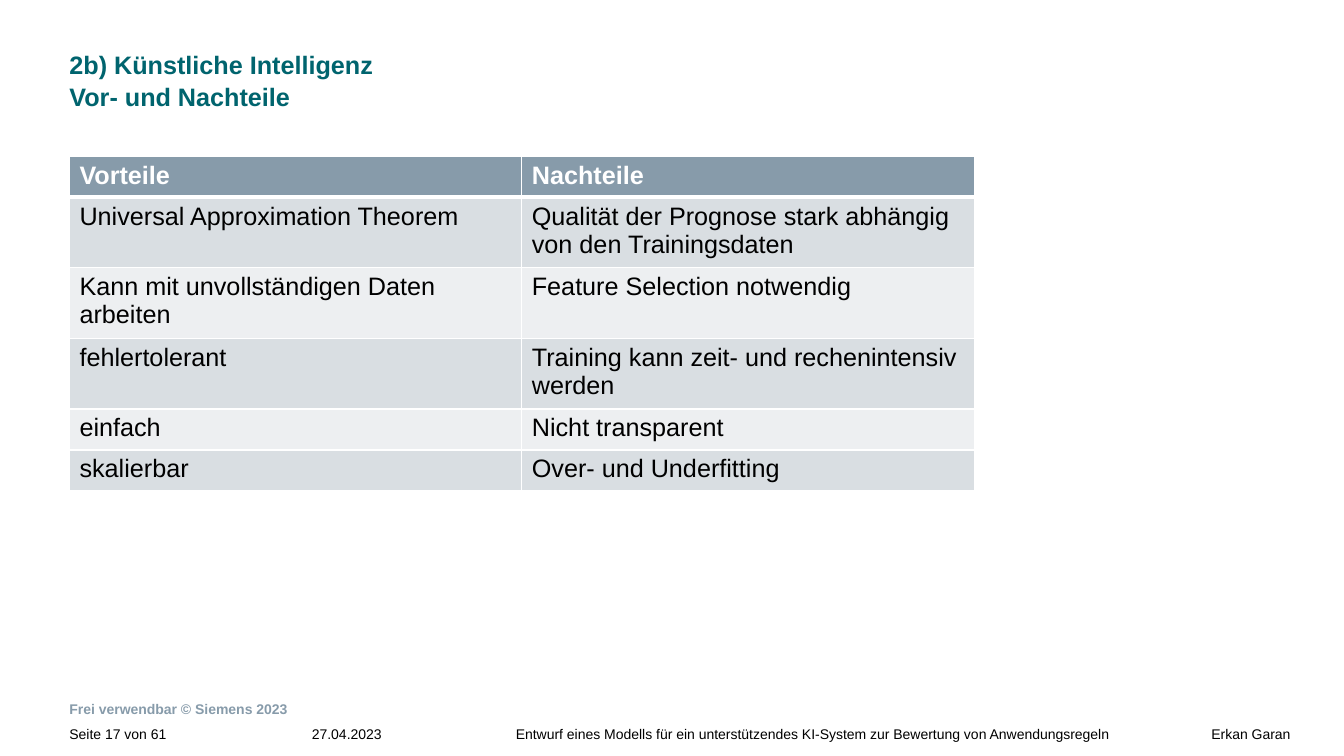
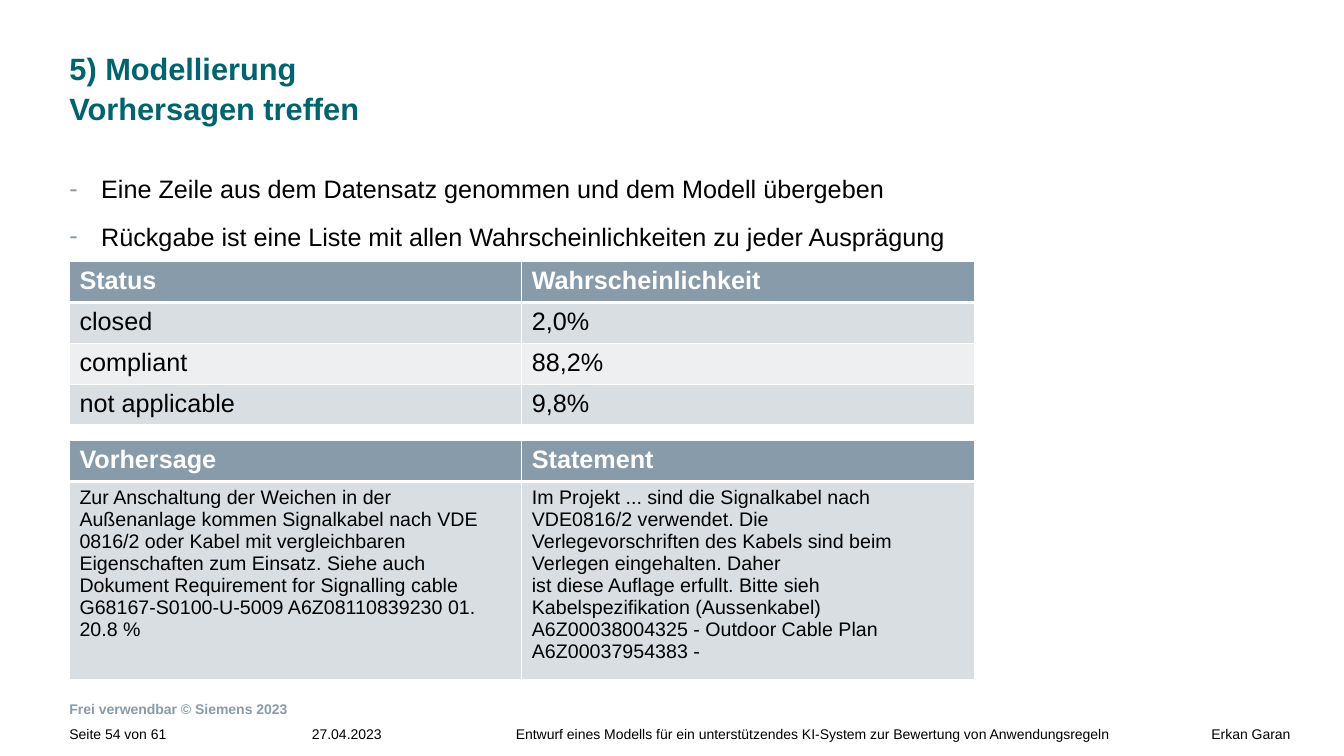
from pptx import Presentation
from pptx import util as u
from pptx.dml.color import RGBColor
from pptx.enum import text
from pptx.oxml.ns import qn
from lxml import etree

FONT = "Arial"
TEAL, SLATE, BLACK, WHITE = "00646E", "879BAA", "000000", "FFFFFF"
BANDS = ("D9DEE2", "EDEFF1")
WIDTH, HEIGHT = 33.87, 19.05
LEFT, CONTENT_W = 1.75, 22.8
CONTENT_TOP = 3.94
ROW_H, TWO_LINE_H = 1.03, 1.69


def rgb(value):
    return RGBColor.from_string(value)


def sub(parent, tag, **attrs):
    return etree.SubElement(parent, qn(tag), attrs)


def set_insets(tf, left=0, top=0, right=0, bottom=0):
    tf.margin_left, tf.margin_top = u.Cm(left), u.Cm(top)
    tf.margin_right, tf.margin_bottom = u.Cm(right), u.Cm(bottom)


def write(tf, content, size=18, color=BLACK, bold=False, align="LEFT",
          spacing=1.0, bullet=None, tab=None):
    """Fill a text frame, one paragraph per line of content."""
    for i, line in enumerate(content.split("\n")):
        p = tf.paragraphs[0] if i == 0 else tf.add_paragraph()
        p.alignment = text.PP_ALIGN[align]
        p.line_spacing = spacing
        p.space_before = u.Pt(0)
        pPr = p._p.get_or_add_pPr()
        if bullet:
            pPr.set("marL", str(u.Cm(0.8)))
            pPr.set("indent", str(-u.Cm(0.8)))
            sub(sub(pPr, "a:buClr"), "a:srgbClr", val=SLATE)
            sub(pPr, "a:buFont", typeface=FONT)
            sub(pPr, "a:buChar", char=bullet)
        if tab:
            sub(sub(pPr, "a:tabLst"), "a:tab", pos=str(u.Cm(tab)), algn="l")
        r = p.add_run()
        r.text = line
        r.font.name, r.font.size, r.font.bold = FONT, u.Pt(size), bold
        r.font.color.rgb = rgb(color)


def add_text(slide, box, content, insets=(), anchor="TOP", **fmt):
    tf = slide.shapes.add_textbox(*map(u.Cm, box)).text_frame
    tf.word_wrap = True
    tf.vertical_anchor = text.MSO_ANCHOR[anchor]
    set_insets(tf, *insets)
    write(tf, content, **fmt)


def add_title(slide, content, size):
    sp = slide.shapes.title
    sp.left = sp.top = 0
    sp.width, sp.height = u.Cm(WIDTH), u.Cm(CONTENT_TOP)
    tf = sp.text_frame
    tf.auto_size = text.MSO_AUTO_SIZE.NONE
    tf.word_wrap = True
    tf.vertical_anchor = text.MSO_ANCHOR.TOP
    set_insets(tf, LEFT, 1.19, 9.4, 0.58)
    write(tf, content, size=size, color=TEAL, bold=True, spacing=1.07)


def add_footer(slide, page):
    top, height = 18.24, 0.81
    add_text(slide, (0, 17.12, WIDTH, 1.09), "Frei verwendbar © Siemens 2023",
             (LEFT, 0.41, 8.92), "MIDDLE", size=10, color=SLATE, bold=True)
    # Left, width, insets and text of each footer field
    fields = (
        (0, 28.45, (7.86, 0, 0, 0.33), "27.04.2023\tEntwurf eines Modells für ein "
         "unterstützendes KI-System zur Bewertung von Anwendungsregeln", {"tab": 5.14}),
        (0, 4.9, (LEFT, 0, 0, 0.33), f"Seite {page} von 61", {}),
        (29.36, 4.51, (0, 0, 1.35, 0.33), "Erkan Garan", {"align": "RIGHT"}),
    )
    for left, width, insets, content, fmt in fields:
        add_text(slide, (left, top, width, height), content, insets,
                 size=10, spacing=1.1, **fmt)


def set_borders(cell, top, bottom):
    tcPr = cell._tc.get_or_add_tcPr()
    for side, width in (("L", 1), ("R", 1), ("T", top), ("B", bottom)):
        ln = sub(tcPr, f"a:ln{side}", w=str(u.Pt(width)))
        sub(sub(ln, "a:solidFill"), "a:srgbClr", val=WHITE)


def add_table(slide, top, rows, heights, size=18):
    """Two equal columns, a header row and banded body rows."""
    frame = slide.shapes.add_table(len(rows), 2, u.Cm(LEFT), u.Cm(top),
                                   u.Cm(CONTENT_W), u.Cm(sum(heights)))
    table = frame.table
    for i, (row, height) in enumerate(zip(rows, heights)):
        table.rows[i].height = u.Cm(height)
        header = i == 0
        for j, content in enumerate(row):
            cell = table.cell(i, j)
            set_borders(cell, 3 if i == 1 else 1, 3 if header else 1)
            cell.fill.solid()
            cell.fill.fore_color.rgb = rgb(SLATE if header else BANDS[(i - 1) % 2])
            write(cell.text_frame, content, size=18 if header else size,
                  color=WHITE if header else BLACK, bold=header)


def new_slide(prs, title, title_size, page):
    slide = prs.slides.add_slide(prs.slide_layouts[5])
    add_footer(slide, page)
    add_title(slide, title, title_size)
    return slide


def pros_and_cons(prs):
    slide = new_slide(prs, "2b) Künstliche Intelligenz\nVor- und Nachteile", 18, 17)
    rows = (
        ("Vorteile", "Nachteile"),
        ("Universal Approximation Theorem",
         "Qualität der Prognose stark abhängig von den Trainingsdaten"),
        ("Kann mit unvollständigen Daten arbeiten", "Feature Selection notwendig"),
        ("fehlertolerant", "Training kann zeit- und rechenintensiv werden"),
        ("einfach", "Nicht transparent"),
        ("skalierbar", "Over- und Underfitting"),
    )
    add_table(slide, CONTENT_TOP, rows, [ROW_H] + [TWO_LINE_H] * 3 + [ROW_H] * 2)


def predictions(prs):
    slide = new_slide(prs, "5) Modellierung\nVorhersagen treffen", 22, 54)
    add_text(slide, (LEFT, CONTENT_TOP, CONTENT_W, 2.5),
             "Eine Zeile aus dem Datensatz genommen und dem Modell übergeben\n"
             "Rückgabe ist eine Liste mit allen Wahrscheinlichkeiten zu jeder Ausprägung",
             bullet="-", spacing=1.57)
    # Probability of each status
    statuses = (
        ("Status", "Wahrscheinlichkeit"),
        ("closed", "2,0%"),
        ("compliant", "88,2%"),
        ("not applicable", "9,8%"),
    )
    add_table(slide, 6.59, statuses, [ROW_H] * 4)
    # Predicted text beside the actual statement
    statements = (
        ("Vorhersage", "Statement"),
        ("Zur Anschaltung der Weichen in der Außenanlage kommen Signalkabel nach VDE "
         "0816/2 oder Kabel mit vergleichbaren Eigenschaften zum Einsatz. Siehe auch "
         "Dokument Requirement for Signalling cable G68167-S0100-U-5009 "
         "A6Z08110839230 01. 20.8 %",
         "Im Projekt ... sind die Signalkabel nach VDE0816/2 verwendet. Die\n"
         "Verlegevorschriften des Kabels sind beim Verlegen eingehalten. Daher\n"
         "ist diese Auflage erfullt. Bitte sieh Kabelspezifikation (Aussenkabel)\n"
         "A6Z00038004325 - Outdoor Cable Plan A6Z00037954383 -"),
    )
    add_table(slide, 11.1, statements, [ROW_H, 4.7], size=14)


def main():
    prs = Presentation()
    prs.slide_width, prs.slide_height = u.Cm(WIDTH), u.Cm(HEIGHT)
    pros_and_cons(prs)
    predictions(prs)
    prs.save("out.pptx")


if __name__ == "__main__":
    main()
